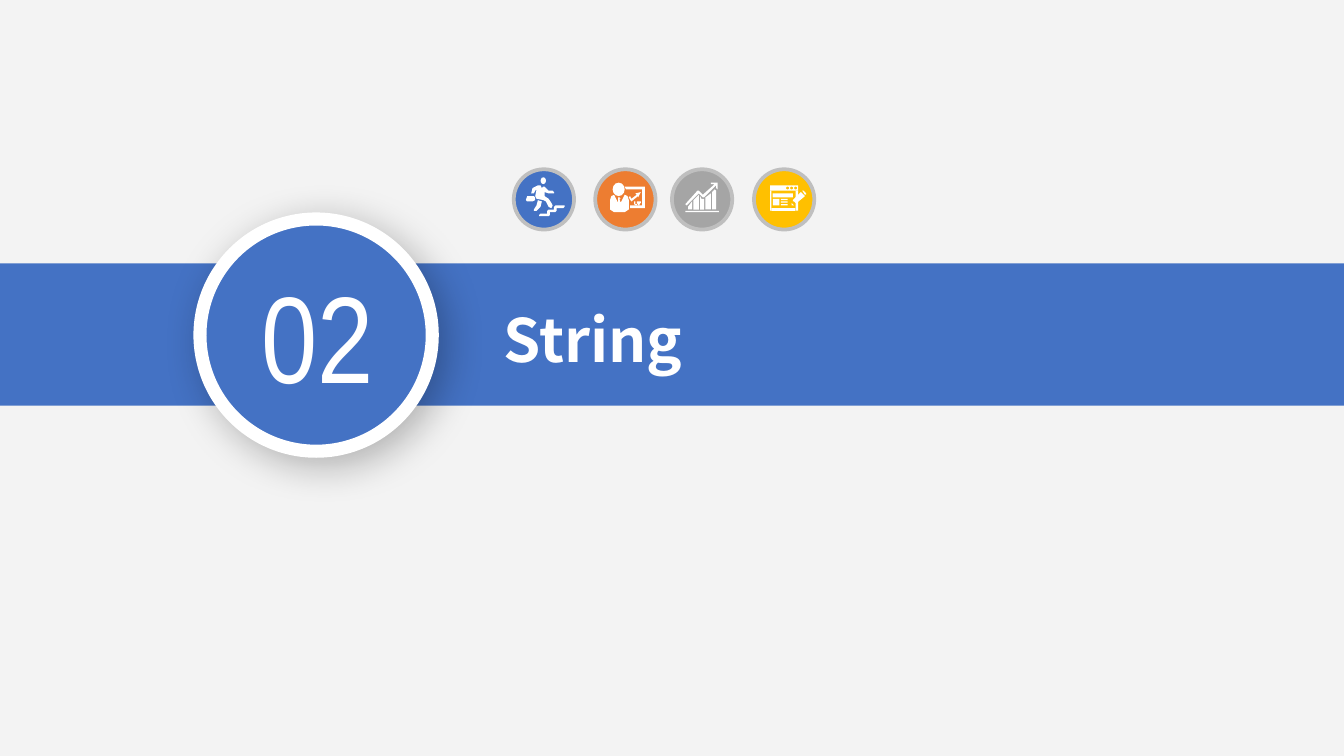
import pptx
import pptx.util
import pptx.dml.color
import pptx.enum.shapes
import pptx.enum.text
import pptx.oxml
import pptx.oxml.ns

Cm = pptx.util.Cm
Pt = pptx.util.Pt
Kind = pptx.enum.shapes.MSO_SHAPE


class Theme:
    back = "F3F3F3"
    blue = "4472C4"
    orange = "ED7D31"
    gray = "A5A5A5"
    gold = "FFC000"
    ring = "BFBFBF"
    white = "FFFFFF"
    title = 32
    number = 66
    title_font = "Noto Sans CJK SC"
    number_font = "Arial Narrow"


# Icons are drawn on a grid of 45 units across a disc
DISC = Cm(1.14)
UNIT = DISC / 45
DISC_TOP = Cm(3.2)

# Each icon: left edge in cm, disc colour, outlines, then (x, y, w, h) of
# white ovals, white bars and holes in the disc colour
RUNNER = dict(
    left=9.71, color=Theme.blue,
    lines=[
        # stairs, case, rear leg, body
        [(20, 33), (25, 33), (25, 31), (26, 30), (30, 30), (30, 28), (31, 27),
         (38, 27), (38, 28), (37, 29), (32, 29), (32, 31), (31, 32), (27, 32),
         (27, 34), (26, 35), (19, 35), (19, 34)],
        [(10, 24), (14, 24), (16, 23), (16, 21), (15, 20), (10, 20), (9, 23)],
        [(15, 30), (17, 27), (18, 23), (21, 24), (20, 28), (17, 31), (15, 31)],
        [(22, 13), (23, 13), (26, 16), (29, 16), (30, 17), (30, 18), (26, 18),
         (23, 17), (23, 20), (26, 22), (28, 25), (29, 27), (28, 29), (26, 28),
         (24, 24), (22, 23), (17, 22), (16, 20), (17, 15), (16, 16), (15, 18),
         (13, 18), (14, 14), (18, 12), (20, 12), (21, 14)],
    ],
    ovals=[(20, 6, 4, 5)])

SPEAKER = dict(
    left=11.25, color=Theme.orange,
    lines=[
        # board, arrow, torso, letters
        [(22, 13), (23, 15), (35, 15), (35, 27), (26, 27), (26, 29), (37, 29),
         (37, 13)],
        [(26, 20), (25, 21), (27, 24), (32, 20), (32, 21), (34, 17), (30, 18),
         (31, 19), (27, 22)],
        [(22, 19), (19, 25), (18, 22), (19, 22), (18, 21), (17, 21), (17, 25),
         (14, 19), (12, 20), (11, 23), (11, 30), (14, 32), (22, 32), (25, 30),
         (25, 23), (24, 20)],
        [(29, 24), (29, 26), (30, 27), (31, 27), (32, 25), (32, 24), (31, 24),
         (31, 26), (30, 26), (30, 24)],
        [(32, 24), (32, 27), (33, 27), (33, 26), (34, 25), (34, 24)],
    ],
    ovals=[(13, 10, 9, 10)])

GRAPH = dict(
    left=12.7, color=Theme.gray,
    lines=[
        # five columns, trend arrow
        [(12, 30), (15, 30), (15, 24), (12, 28)],
        [(16, 30), (20, 30), (20, 19), (16, 23)],
        [(21, 30), (24, 30), (24, 22), (22, 22), (21, 20)],
        [(25, 30), (29, 30), (29, 18), (25, 21)],
        [(30, 30), (33, 30), (33, 16), (32, 15), (30, 17)],
        [(11, 27), (20, 18), (23, 21), (24, 21), (33, 12), (33, 14), (34, 15),
         (34, 10), (29, 10), (29, 11), (32, 11), (23, 19), (20, 16), (19, 16),
         (10, 26)],
    ],
    bars=[(10, 31, 25, 1)])

FORM = dict(
    left=14.25, color=Theme.gold,
    lines=[
        # pen tip, pen end, pen
        [(28, 25), (28, 27), (30, 27)],
        [(38, 19), (39, 19), (39, 18), (37, 16), (36, 16)],
        [(35, 17), (29, 23), (29, 24), (30, 24), (31, 25), (32, 25), (38, 20)],
    ],
    # window frame, heading, block, three text lines
    bars=[(12, 12, 21, 4), (12, 16, 1, 15), (31, 16, 2, 15), (13, 29, 18, 2),
          (14, 18, 15, 3), (14, 22, 5, 5)] + [(20, y, 5, 1) for y in (22, 24, 26)],
    holes=[(x, 13, 2, 2) for x in (24, 27, 30)])


def rgb(color):
    return pptx.dml.color.RGBColor.from_string(color)


def paint(shape, fill, line=None, width=0):
    shape.shadow.inherit = False
    shape.fill.solid()
    shape.fill.fore_color.rgb = rgb(fill)
    if line:
        shape.line.color.rgb = rgb(line)
        shape.line.width = Pt(width)
    else:
        shape.line.fill.background()
    return shape


def add_form(shapes, kind, box, fill, line=None, width=0):
    return paint(shapes.add_shape(kind, *box), fill, line, width)


def add_text(shapes, box, text, size, font, bold=False, center=False):
    frame = shapes.add_textbox(*box).text_frame
    frame.word_wrap = True
    para = frame.paragraphs[0]
    para.text = text
    para.font.size = Pt(size)
    para.font.name = font
    para.font.bold = bold
    para.font.color.rgb = rgb(Theme.white)
    if center:
        para.alignment = pptx.enum.text.PP_ALIGN.CENTER
    return frame


def add_shade(shape):
    effect = shape._element.spPr.find(pptx.oxml.ns.qn("a:effectLst"))
    effect.append(pptx.oxml.parse_xml(
        f'<a:outerShdw {pptx.oxml.ns.nsdecls("a")} blurRad="{Pt(22)}" '
        f'dist="{Pt(6)}" dir="2700000" algn="tl" rotWithShape="0">'
        '<a:srgbClr val="000000"><a:alpha val="28000"/></a:srgbClr>'
        '</a:outerShdw>'))


def add_icon(slide, left, color, lines, ovals=(), bars=(), holes=()):
    shapes = slide.shapes.add_group_shape().shapes
    left = Cm(left)
    add_form(shapes, Kind.OVAL, (left, DISC_TOP, DISC, DISC), color, Theme.ring, 2)
    for start, *rest in lines:
        pen = shapes.build_freeform(*start, scale=UNIT)
        pen.add_line_segments(rest, close=True)
        paint(pen.convert_to_shape(left, DISC_TOP), Theme.white)
    for kind, boxes, fill in ((Kind.OVAL, ovals, Theme.white),
                              (Kind.RECTANGLE, bars, Theme.white),
                              (Kind.OVAL, holes, color)):
        for x, y, w, h in boxes:
            box = (left + round(x * UNIT), DISC_TOP + round(y * UNIT),
                   round(w * UNIT), round(h * UNIT))
            add_form(shapes, kind, box, fill)


def add_badge(slide, text):
    shapes = slide.shapes.add_group_shape().shapes
    disc = add_form(shapes, Kind.OVAL, (Cm(3.78), Cm(4.14), Cm(4.39), Cm(4.39)),
                    Theme.blue, Theme.white, 7)
    add_shade(disc)
    frame = add_text(shapes, (Cm(4.34), Cm(4.83), Cm(3.33), Cm(3.02)), text,
                     Theme.number, Theme.number_font, center=True)
    frame.margin_left = frame.margin_right = Cm(0.18)
    frame.margin_top = frame.margin_bottom = Cm(0.1)


def main():
    deck = pptx.Presentation()
    deck.slide_width, deck.slide_height = Cm(25.4), Cm(14.29)
    slide = deck.slides.add_slide(deck.slide_layouts[6])
    slide.background.fill.solid()
    slide.background.fill.fore_color.rgb = rgb(Theme.back)

    # Band and section title
    add_form(slide.shapes, Kind.RECTANGLE,
             (0, Cm(4.98), deck.slide_width, Cm(2.69)), Theme.blue)
    add_text(slide.shapes, (Cm(9.27), Cm(5.59), Cm(10), Cm(1.63)), "String",
             Theme.title, Theme.title_font, bold=True)

    # Row of icons
    for icon in (RUNNER, SPEAKER, GRAPH, FORM):
        add_icon(slide, **icon)

    # Section number
    add_badge(slide, "02")
    deck.save("out.pptx")


if __name__ == "__main__":
    main()
